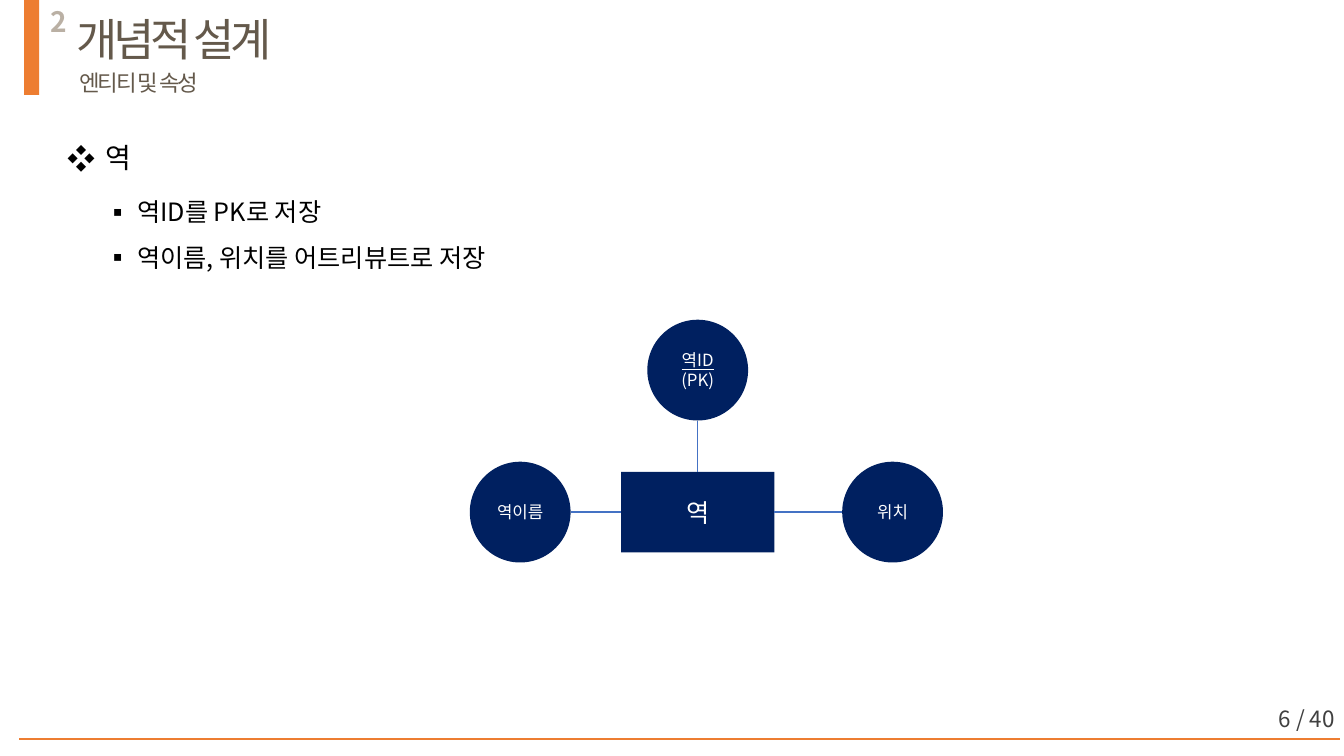
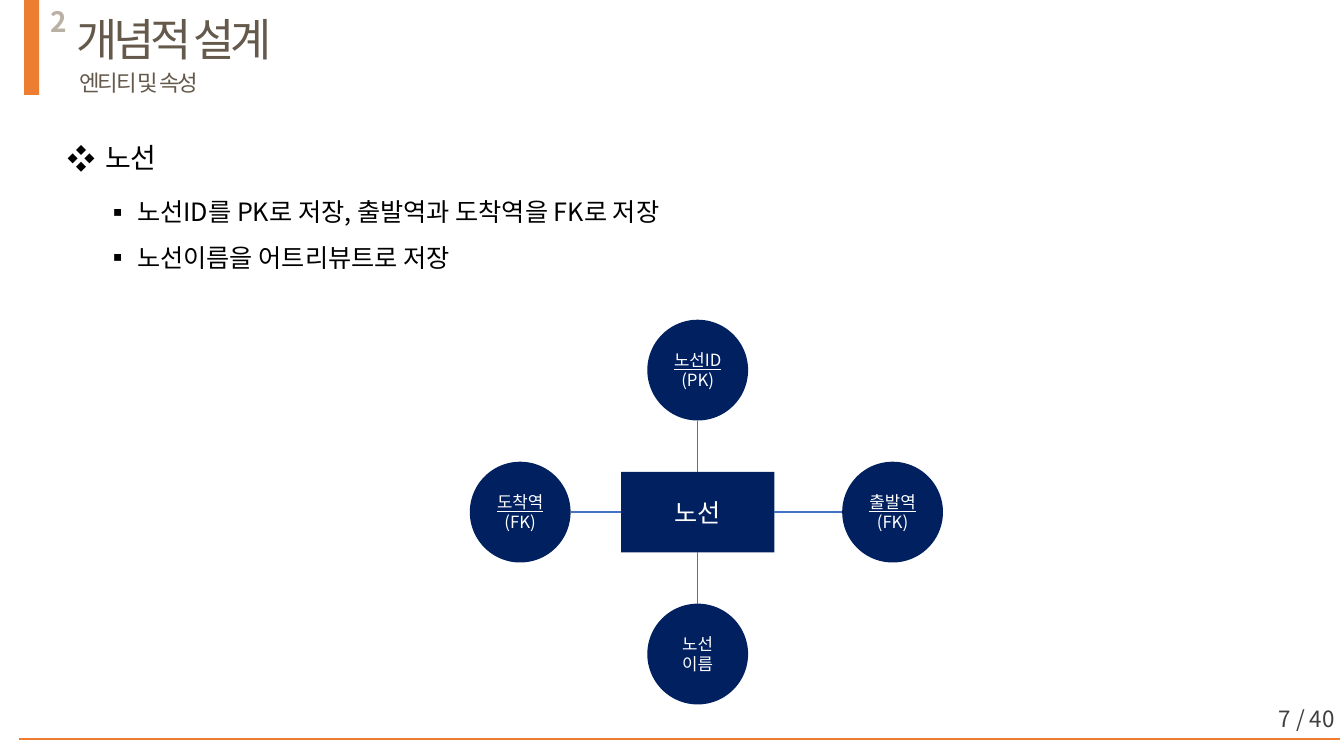
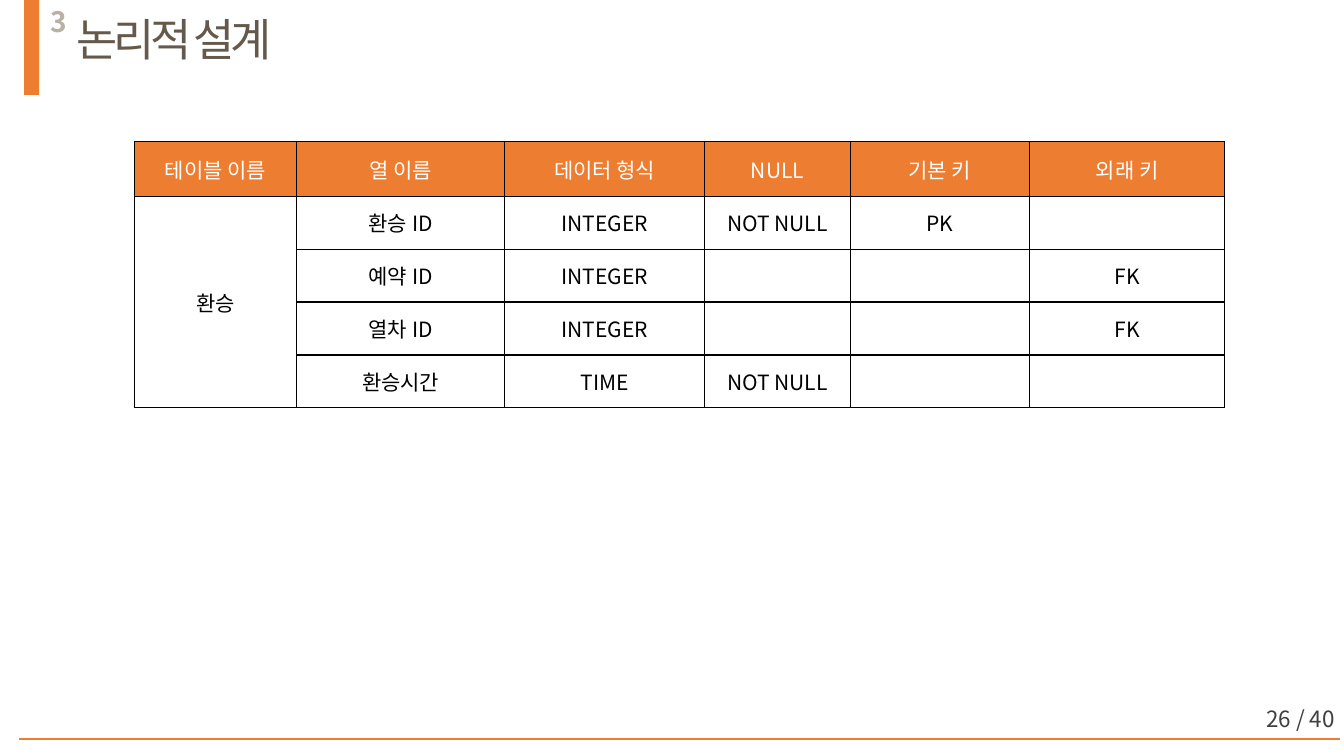
from lxml import etree
from pptx import Presentation
from pptx.dml.color import RGBColor
from pptx.enum.shapes import MSO_CONNECTOR, MSO_SHAPE
from pptx.enum.text import MSO_ANCHOR, MSO_AUTO_SIZE, PP_ALIGN
from pptx.oxml.ns import qn
from pptx.util import Pt

FONT = "Noto Sans CJK KR"
ORANGE = "ED7D31"
NAVY = "002060"
BLUE = "4472C4"
BROWN = "64594B"
TAUPE = "BAB0A4"
GRAY = "404040"
BLACK = "000000"
WHITE = "FFFFFF"
STRAIGHT = MSO_CONNECTOR.STRAIGHT
RECTANGLE, OVAL = MSO_SHAPE.RECTANGLE, MSO_SHAPE.OVAL
TOP, MIDDLE = MSO_ANCHOR.TOP, MSO_ANCHOR.MIDDLE
LEFT, CENTER, RIGHT = PP_ALIGN.LEFT, PP_ALIGN.CENTER, PP_ALIGN.RIGHT
GROW = MSO_AUTO_SIZE.SHAPE_TO_FIT_TEXT

PAGE_COUNT = 40
ENTITY_CENTER = (498.4, 365.8)
ENTITY_SIZE = (109.4, 57.6)
CIRCLE = 72
CIRCLE_OFFSETS = {"top": (0, -101.4), "left": (-126.8, 0),
                  "right": (139.2, 0), "bottom": (0, 101.4)}
COLUMN_WIDTHS = [115.8, 148.8, 142.8, 104, 128.2, 139.4]
HEADER_HEIGHT, ROW_HEIGHT = 39, 37.8


def color(value):
    return RGBColor.from_string(value)


def points(*lengths):
    return [Pt(length) for length in lengths]


def style(para, size, ink, align=LEFT, bold=False, spacing=0):
    para.alignment = align
    font = para.font
    font.size = Pt(size)
    font.bold = bold
    font.color.rgb = color(ink)
    font.name = FONT
    properties = font._rPr
    east_asian = etree.Element(qn("a:ea"), typeface=FONT)
    properties.find(qn("a:latin")).addnext(east_asian)
    if spacing:
        properties.set("spc", str(int(spacing * 100)))


def add_bullet(para, symbol, indent):
    para.line_spacing = 1.5
    properties = para._p.get_or_add_pPr()
    properties.set("marL", str(Pt(indent)))
    properties.set("indent", str(-Pt(indent)))
    etree.SubElement(properties, qn("a:buFont"), typeface=FONT)
    etree.SubElement(properties, qn("a:buChar"), char=symbol)


def add_lines(frame, lines):
    for index, line in enumerate(lines):
        para = frame.add_paragraph() if index else frame.paragraphs[0]
        para.text = line
        yield para


def add_text(page, area, lines, size, ink, align=LEFT, anchor=TOP, wrap=True,
             bold=False, spacing=0, bullet=None):
    box = page.shapes.add_textbox(*points(*area))
    frame = box.text_frame
    frame.word_wrap = wrap
    frame.vertical_anchor = anchor
    if anchor == TOP:
        frame.auto_size = GROW
    for para in add_lines(frame, lines):
        if bullet:
            add_bullet(para, *bullet)
        style(para, size, ink, align, bold, spacing)


def add_block(page, kind, area, fill):
    block = page.shapes.add_shape(kind, *points(*area))
    block.shadow.inherit = False
    block.fill.solid()
    block.fill.fore_color.rgb = color(fill)
    block.line.fill.background()
    return block


def add_line(page, start, end, ink):
    line = page.shapes.add_connector(STRAIGHT, *points(*start, *end))
    line.line.color.rgb = color(ink)
    line.line.width = Pt(1)
    etree.SubElement(line._element.spPr, qn("a:effectLst"))


def add_title(page, text):
    title = page.shapes.title
    title.left, title.top, title.width, title.height = points(47.5, 5, 157.7, 46)
    frame = title.text_frame
    frame.text = text
    frame.word_wrap = False
    frame.auto_size = GROW
    frame.vertical_anchor = TOP
    style(frame.paragraphs[0], 32, BROWN, spacing=-3)


def add_page(deck, section, title, number):
    page = deck.slides.add_slide(deck.slide_layouts[5])
    add_title(page, title)
    add_text(page, (744.5, 499, 216, 28.8), [f"{number} / {PAGE_COUNT}"],
             16, GRAY, align=RIGHT, anchor=MIDDLE)
    add_block(page, RECTANGLE, (17.2, 0, 10.8, 67.8), ORANGE)
    add_text(page, (28.8, 0, 36.7, 31.7), [section], 20, TAUPE, bold=True)
    add_line(page, (13.7, 527.8), (957, 527.8), ORANGE)
    return page


def add_node(page, kind, center, size, lines, text_size):
    x, y = center
    width, height = size
    node = add_block(page, kind, (x - width / 2, y - height / 2, width, height), NAVY)
    frame = node.text_frame
    frame.word_wrap = True
    frame.vertical_anchor = MIDDLE
    frame.margin_left = frame.margin_right = 0
    has_key = lines[-1].startswith("(")
    for index, para in enumerate(add_lines(frame, lines)):
        style(para, text_size, WHITE, CENTER)
        para.font.underline = has_key and index == 0


def add_entity_diagram(page, entity, attributes):
    x, y = ENTITY_CENTER
    width, height = ENTITY_SIZE
    add_node(page, RECTANGLE, ENTITY_CENTER, ENTITY_SIZE, [entity], 18)
    for side, lines in attributes.items():
        dx, dy = CIRCLE_OFFSETS[side]
        step_x, step_y = (dx > 0) - (dx < 0), (dy > 0) - (dy < 0)
        center = (x + dx, y + dy)
        add_node(page, OVAL, center, (CIRCLE, CIRCLE), lines, 12)
        add_line(page, (x + step_x * width / 2, y + step_y * height / 2),
                 (center[0] - step_x * CIRCLE / 2, center[1] - step_y * CIRCLE / 2), BLUE)


def add_entity_page(deck, number, entity, notes, attributes):
    page = add_page(deck, "2", "개념적 설계", number)
    add_text(page, (49.7, 46, 104.4, 26.6), ["엔티티 및 속성"], 16, BROWN,
             wrap=False, spacing=-1.5)
    heading_width = 42.5 + 18.7 * len(entity)
    add_text(page, (41, 85, heading_width, 40.3), [entity], 20, BLACK,
             wrap=False, bullet=("❖", 27))
    add_text(page, (68.4, 126, 542, 69.8), notes, 18, BLACK, bullet=("▪", 22.5))
    add_entity_diagram(page, entity, attributes)


def format_cell(cell, text, fill, ink):
    properties = cell._tc.get_or_add_tcPr()
    for edge in ("a:lnL", "a:lnR", "a:lnT", "a:lnB"):
        border = etree.SubElement(properties, qn(edge), w=str(Pt(1)))
        solid = etree.SubElement(border, qn("a:solidFill"))
        etree.SubElement(solid, qn("a:srgbClr"), val=BLACK)
    cell.fill.solid()
    cell.fill.fore_color.rgb = color(fill)
    cell.vertical_anchor = MIDDLE
    para = cell.text_frame.paragraphs[0]
    if text:
        para.text = text
    style(para, 15, ink, CENTER)


def add_schema_table(page, rows):
    height = HEADER_HEIGHT + ROW_HEIGHT * (len(rows) - 1)
    frame = page.shapes.add_table(len(rows), len(COLUMN_WIDTHS),
                                  *points(96, 101.2, sum(COLUMN_WIDTHS), height))
    table = frame.table
    table.first_row = table.horz_banding = False
    for column, width in zip(table.columns, COLUMN_WIDTHS):
        column.width = Pt(width)
    for index, texts in enumerate(rows):
        table.rows[index].height = Pt(ROW_HEIGHT if index else HEADER_HEIGHT)
        fill, ink = (WHITE, BLACK) if index else (ORANGE, WHITE)
        for position, text in enumerate(texts):
            format_cell(table.cell(index, position), text, fill, ink)
    table.cell(1, 0).merge(table.cell(len(rows) - 1, 0))


def main():
    deck = Presentation()
    deck.slide_width, deck.slide_height = points(960, 540)
    add_entity_page(
        deck, 6, "역",
        ["역ID를 PK로 저장", "역이름, 위치를 어트리뷰트로 저장"],
        {"top": ["역ID", "(PK)"], "right": ["위치"], "left": ["역이름"]})
    add_entity_page(
        deck, 7, "노선",
        ["노선ID를 PK로 저장, 출발역과 도착역을 FK로 저장", "노선이름을 어트리뷰트로 저장"],
        {"top": ["노선ID", "(PK)"], "right": ["출발역", "(FK)"],
         "left": ["도착역", "(FK)"], "bottom": ["노선", "이름"]})
    page = add_page(deck, "3", "논리적 설계", 26)
    add_schema_table(page, [
        ["테이블 이름", "열 이름", "데이터 형식", "NULL", "기본 키", "외래 키"],
        ["환승", "환승 ID", "INTEGER", "NOT NULL", "PK", ""],
        ["", "예약 ID", "INTEGER", "", "", "FK"],
        ["", "열차 ID", "INTEGER", "", "", "FK"],
        ["", "환승시간", "TIME", "NOT NULL", "", ""],
    ])
    deck.save("out.pptx")


if __name__ == "__main__":
    main()
